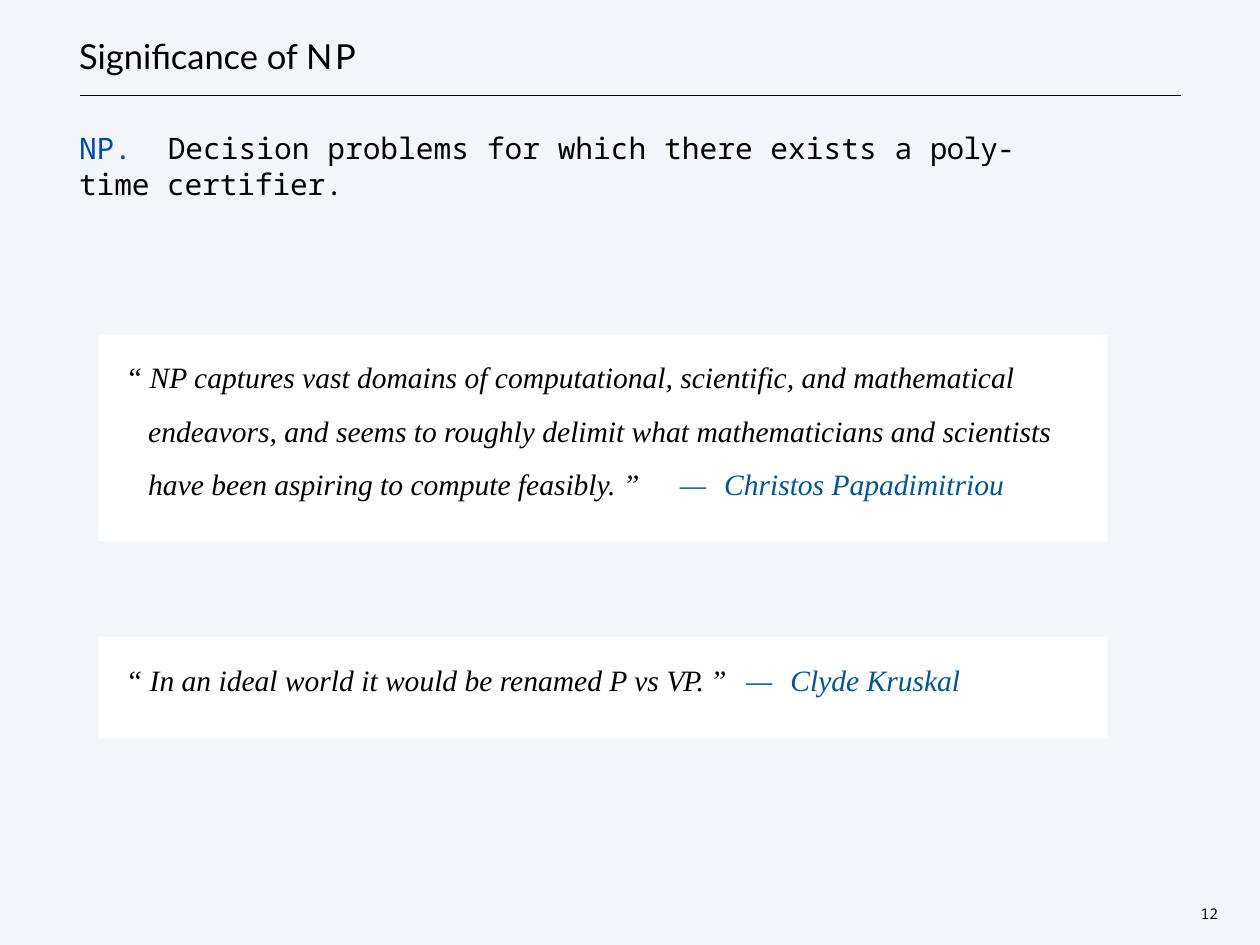
"""Build the slide on the significance of NP."""
from lxml.etree import SubElement
from pptx import Presentation
from pptx.dml.color import RGBColor
from pptx.enum.shapes import MSO_CONNECTOR, MSO_SHAPE
from pptx.enum.text import MSO_ANCHOR, PP_ALIGN
from pptx.oxml.ns import qn
from pptx.util import Cm, Pt

COLORS = {
    "background": "F2F6F9",
    "card": "FFFFFF",
    "text": "000000",
    "term": "0048AA",
    "author": "005493",
}
SANS, MONO, SERIF = "Lato", "Noto Sans Mono", "Times New Roman"
CARD_LEFT, CARD_WIDTH = 2.82, 28.93


def rgb(name):
    """Return the named colour."""
    return RGBColor.from_string(COLORS[name])


def add_card(slide, top, height):
    """Add a white card that holds a quotation."""
    card = slide.shapes.add_shape(
        MSO_SHAPE.RECTANGLE, Cm(CARD_LEFT), Cm(top), Cm(CARD_WIDTH), Cm(height))
    card.shadow.inherit = False
    card.fill.solid()
    card.fill.fore_color.rgb = rgb("card")
    card.line.fill.background()
    return card


def add_rule(slide, left, right, y):
    """Add the line under the title."""
    rule = slide.shapes.add_connector(
        MSO_CONNECTOR.STRAIGHT, Cm(left), Cm(y), Cm(right), Cm(y))
    rule.line.color.rgb = rgb("text")
    rule.line.width = Pt(1)
    SubElement(rule._element.spPr, qn("a:effectLst"))


def add_box(slide, left, top, width, height):
    """Add an empty text box."""
    return slide.shapes.add_textbox(Cm(left), Cm(top), Cm(width), Cm(height))


def write(shape, runs, font, size, italic=False, inset=0.03, margin=0.03,
          first=0, tabs=(), leading=None):
    """Write runs of (text, colour, letter spacing) as one paragraph."""
    frame = shape.text_frame
    frame.word_wrap = True
    frame.vertical_anchor = MSO_ANCHOR.TOP
    frame.margin_left = frame.margin_right = frame.margin_bottom = 0
    frame.margin_top = Cm(inset)
    paragraph = frame.paragraphs[0]
    properties = paragraph._p.get_or_add_pPr()
    properties.set("marL", str(Cm(margin)))
    properties.set("indent", str(Cm(first)))
    if tabs:
        stops = SubElement(properties, qn("a:tabLst"))
        for stop in tabs:
            SubElement(stops, qn("a:tab"), pos=str(Cm(stop)), algn="l")
    paragraph.alignment = PP_ALIGN.LEFT
    if leading:
        paragraph.line_spacing = leading
    for text, color, spacing in runs:
        run = paragraph.add_run()
        run.text = text
        run.font.name = font
        run.font.size = Pt(size)
        run.font.italic = italic
        run.font.color.rgb = rgb(color)
        run._r.get_or_add_rPr().set("spc", str(round(spacing * 100)))


def main():
    """Compose and save the slide."""
    deck = Presentation()
    deck.slide_width, deck.slide_height = Cm(36.12), Cm(27.1)
    slide = deck.slides.add_slide(deck.slide_layouts[6])
    slide.background.fill.solid()
    slide.background.fill.fore_color.rgb = rgb("background")

    add_rule(slide, 2.29, 33.86, 2.74)
    write(add_box(slide, 2.24, 0.97, 12.78, 1.24),
          [("Significance of ", "text", 0), ("NP", "text", 2.2)], SANS, 28)
    write(add_box(slide, 2.24, 3.71, 27.46, 1.09),
          [("NP.\t", "term", -0.2),
           ("Decision problems for which there exists a ", "text", 0),
           ("poly-", "text", -0.7),
           ("time certifier.", "text", -0.1)],
          MONO, 24, tabs=[1.93])

    add_card(slide, 9.6, 5.92)
    write(add_box(slide, 3.61, 9.73, 26.6, 4.7),
          [("“ NP captures vast domains of computational, scientific, and "
            "mathematical endeavors, and seems to roughly delimit what "
            "mathematicians and scientists have been aspiring to compute "
            "feasibly. ", "text", 0),
           ("”\t", "text", -0.5),
           ("—", "author", -0.5),
           ("\tChristos Papadimitriou", "author", 0)],
          SERIF, 24, italic=True, inset=0.05, margin=0.64, first=-0.64,
          tabs=[15.77, 17.17], leading=1.51)

    write(add_card(slide, 18.26, 2.92),
          [("“ In an ideal world it would be renamed P vs ", "text", 0),
           ("VP. ", "text", -0.9),
           ("”\t", "text", -0.5),
           ("—", "author", -0.5),
           ("\tClyde Kruskal", "author", 0)],
          SERIF, 24, italic=True, inset=0.71, margin=0.79,
          tabs=[19.15, 20.55])

    write(add_box(slide, 34.32, 25.96, 0.79, 0.58),
          [("12", "text", -0.2)], MONO, 12, inset=0, margin=0.1)
    deck.save("out.pptx")


if __name__ == "__main__":
    main()
